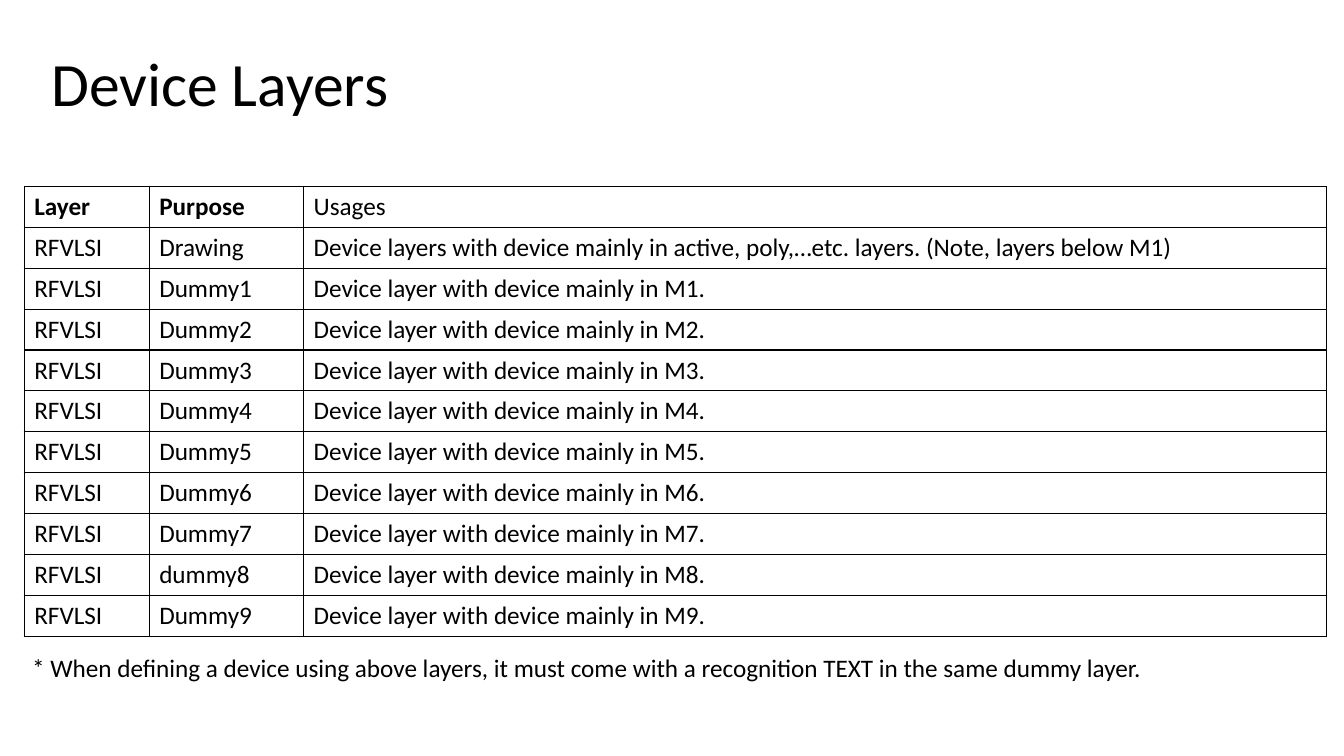
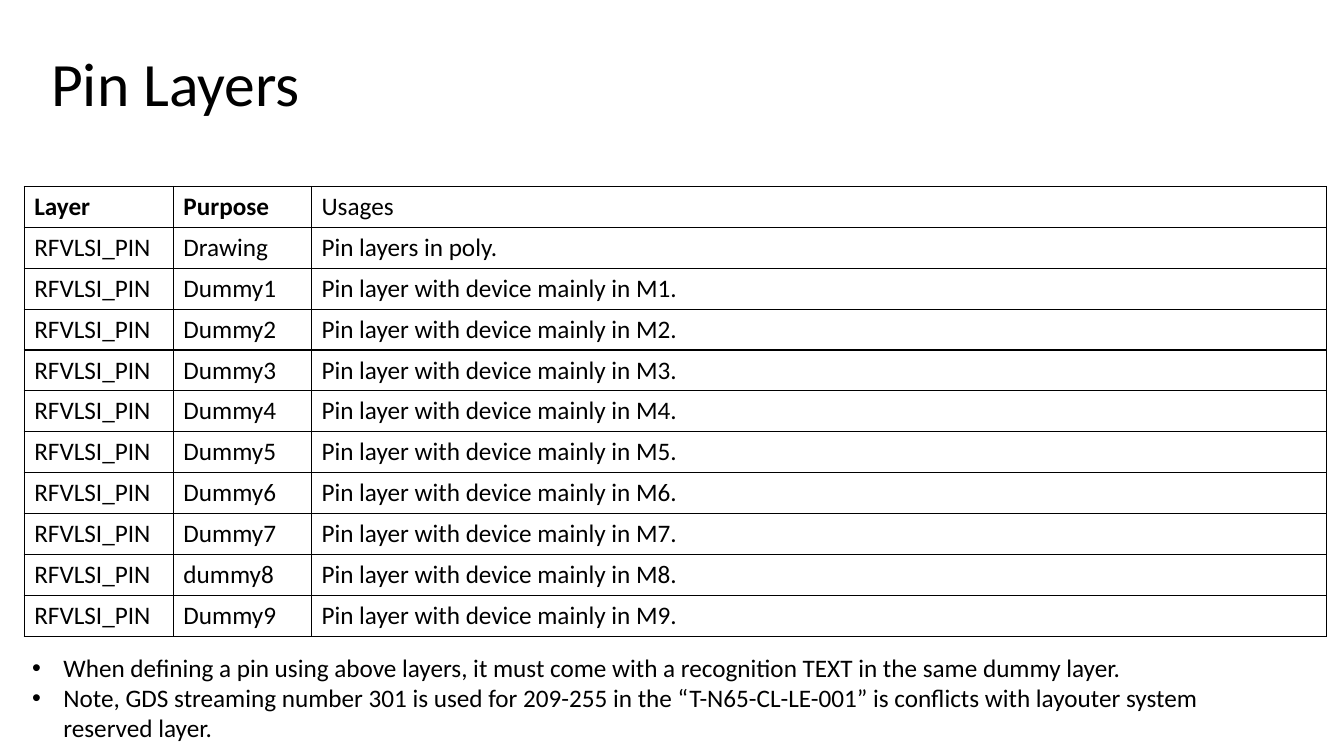
from dataclasses import dataclass

from lxml.etree import SubElement
from pptx import Presentation
from pptx.dml.color import RGBColor
from pptx.enum.text import MSO_ANCHOR as Anchor, MSO_AUTO_SIZE as AutoSize
from pptx.oxml.ns import qn
from pptx.util import Cm, Pt


@dataclass(frozen=True)
class Theme:
    ink: str = "000000"
    paper: str = "FFFFFF"
    font: str = "Calibri"
    title_size: int = 44
    body_size: int = 18
    border: float = 1


@dataclass(frozen=True)
class Box:
    left: float
    top: float
    width: float
    height: float

    def lengths(self):
        return [Cm(n) for n in (self.left, self.top, self.width, self.height)]


THEME = Theme()
SLIDE_WIDTH, SLIDE_HEIGHT = 33.87, 19.05
TITLE_BOX = Box(1.04, 0.33, 29.21, 3.68)
TABLE_BOX = Box(0.61, 4.7, 32.82, 11.33)
NOTE_LEFT, NOTE_TOP, NOTE_WIDTH = 0.56, 16.31, 31.72
BULLET_INDENT = 0.79

HEADINGS = ["Layer", "Purpose", "Usages"]
METALS = range(1, 10)


# Text
def write(paragraph, text, size, bold=False):
    run = paragraph.add_run()
    run.text = text
    font_format = {"name": THEME.font, "size": Pt(size), "bold": bold}
    for attribute, value in font_format.items():
        setattr(run.font, attribute, value)
    run.font.color.rgb = RGBColor.from_string(THEME.ink)


def add_text_frame(slide, box, **frame_format):
    frame = slide.shapes.add_textbox(*box.lengths()).text_frame
    for attribute, value in {"word_wrap": True, **frame_format}.items():
        setattr(frame, attribute, value)
    return frame


def add_bullet(paragraph):
    properties = paragraph._p.get_or_add_pPr()
    properties.set("marL", str(Cm(BULLET_INDENT)))
    properties.set("indent", str(-Cm(BULLET_INDENT)))
    SubElement(properties, qn("a:buFont"), typeface="Arial")
    SubElement(properties, qn("a:buChar"), char="•")


# Title
def add_title(slide, box, text):
    frame = add_text_frame(slide, box, vertical_anchor=Anchor.MIDDLE)
    paragraph = frame.paragraphs[0]
    paragraph.line_spacing = 0.9
    write(paragraph, text, THEME.title_size)


# Table
def add_borders(cell):
    properties = cell._tc.get_or_add_tcPr()
    for side in ("a:lnL", "a:lnR", "a:lnT", "a:lnB"):
        line = SubElement(properties, qn(side), w=str(Pt(THEME.border)))
        fill = SubElement(line, qn("a:solidFill"))
        SubElement(fill, qn("a:srgbClr"), val=THEME.ink)


def add_layer_table(slide, box, rows, first_widths):
    table = slide.shapes.add_table(len(rows), len(HEADINGS), *box.lengths()).table
    table.first_row = table.horz_banding = False
    widths = [*first_widths, box.width - sum(first_widths)]
    for column, width in zip(table.columns, widths):
        column.width = Cm(width)
    for row_index, (row, texts) in enumerate(zip(table.rows, rows)):
        row.height = Cm(box.height / len(rows))
        for column_index, (cell, text) in enumerate(zip(row.cells, texts)):
            add_borders(cell)
            cell.fill.background()
            bold = row_index == 0 and column_index < 2
            write(cell.text_frame.paragraphs[0], text, THEME.body_size, bold)


# Notes under the table
def add_notes(slide, box, notes, bulleted):
    frame = add_text_frame(slide, box, auto_size=AutoSize.SHAPE_TO_FIT_TEXT)
    for index, note in enumerate(notes):
        paragraph = frame.add_paragraph() if index else frame.paragraphs[0]
        if bulleted:
            add_bullet(paragraph)
        write(paragraph, note, THEME.body_size)


# Slide
def layer_rows(layer, kind, drawing_usage):
    metal_rows = [
        [layer, f"{'dummy' if metal == 8 else 'Dummy'}{metal}",
         f"{kind} layer with device mainly in M{metal}."]
        for metal in METALS
    ]
    return [HEADINGS, [layer, "Drawing", drawing_usage], *metal_rows]


def add_layer_slide(presentation, kind, layer, drawing_usage, first_widths,
                    notes, note_height, bulleted):
    slide = presentation.slides.add_slide(presentation.slide_layouts[6])
    background = slide.background.fill
    background.solid()
    background.fore_color.rgb = RGBColor.from_string(THEME.paper)
    add_title(slide, TITLE_BOX, f"{kind} Layers")
    rows = layer_rows(layer, kind, drawing_usage)
    add_layer_table(slide, TABLE_BOX, rows, first_widths)
    note_box = Box(NOTE_LEFT, NOTE_TOP, NOTE_WIDTH, note_height)
    add_notes(slide, note_box, notes, bulleted)


SLIDES = [
    {
        "kind": "Device",
        "layer": "RFVLSI",
        "drawing_usage": "Device layers with device mainly in active, "
                         "poly,…etc. layers. (Note, layers below M1)",
        "first_widths": [3.15, 3.89],
        "notes": ["* When defining a device using above layers, it must come "
                  "with a recognition TEXT in the same dummy layer."],
        "note_height": 1.03,
        "bulleted": False,
    },
    {
        "kind": "Pin",
        "layer": "RFVLSI_PIN",
        "drawing_usage": "Pin layers in poly.",
        "first_widths": [3.76, 3.48],
        "notes": ["When defining a pin using above layers, it must come "
                  "with a recognition TEXT in the same dummy layer.",
                  "Note, GDS streaming number 301 is used for 209-255 in the "
                  "“T-N65-CL-LE-001” is conflicts with layouter system "
                  "reserved layer."],
        "note_height": 2.57,
        "bulleted": True,
    },
]

presentation = Presentation()
presentation.slide_width = Cm(SLIDE_WIDTH)
presentation.slide_height = Cm(SLIDE_HEIGHT)
for content in SLIDES:
    add_layer_slide(presentation, **content)
presentation.save("out.pptx")
